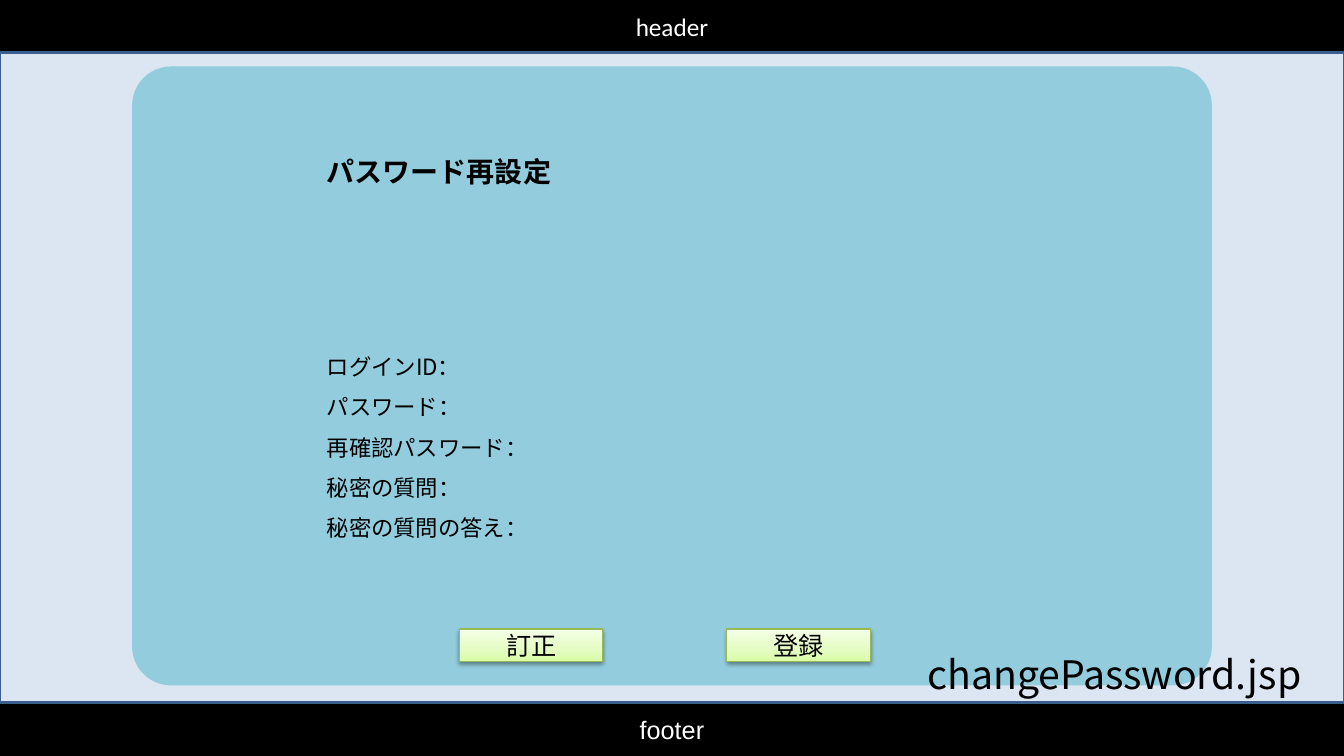
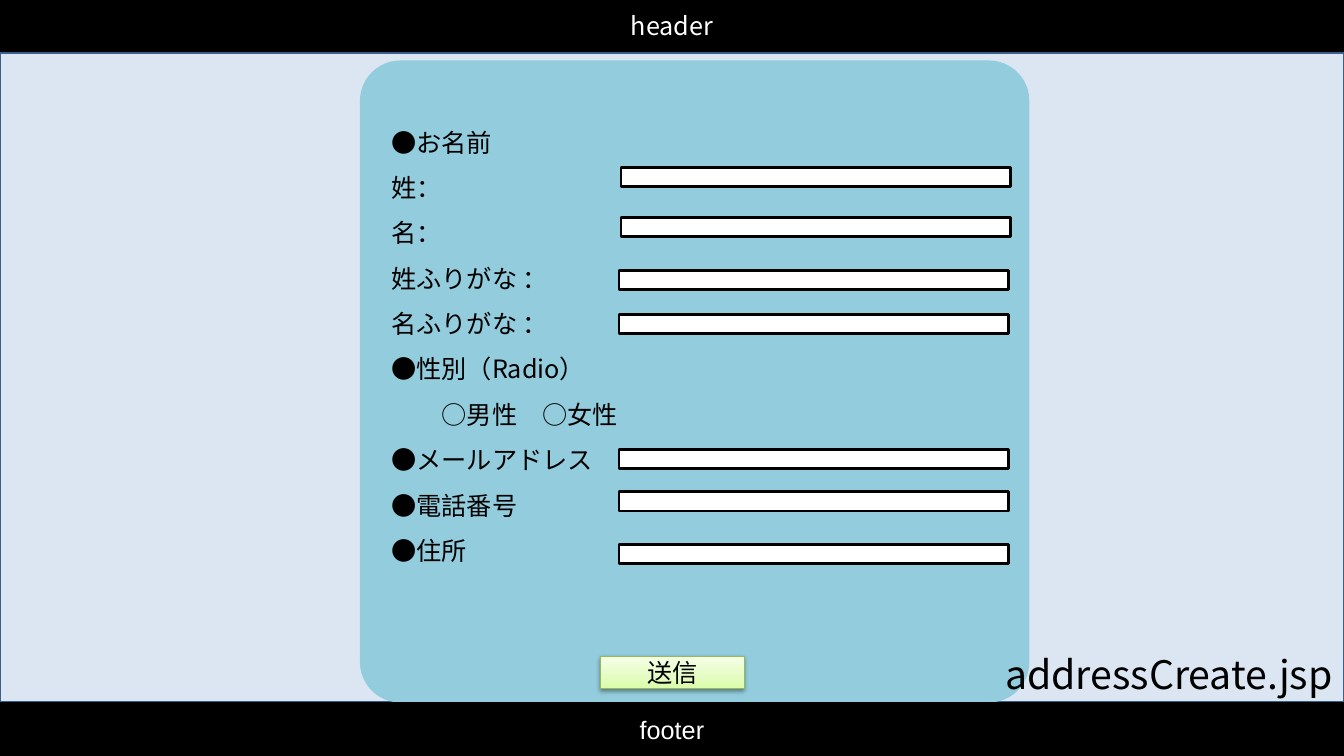
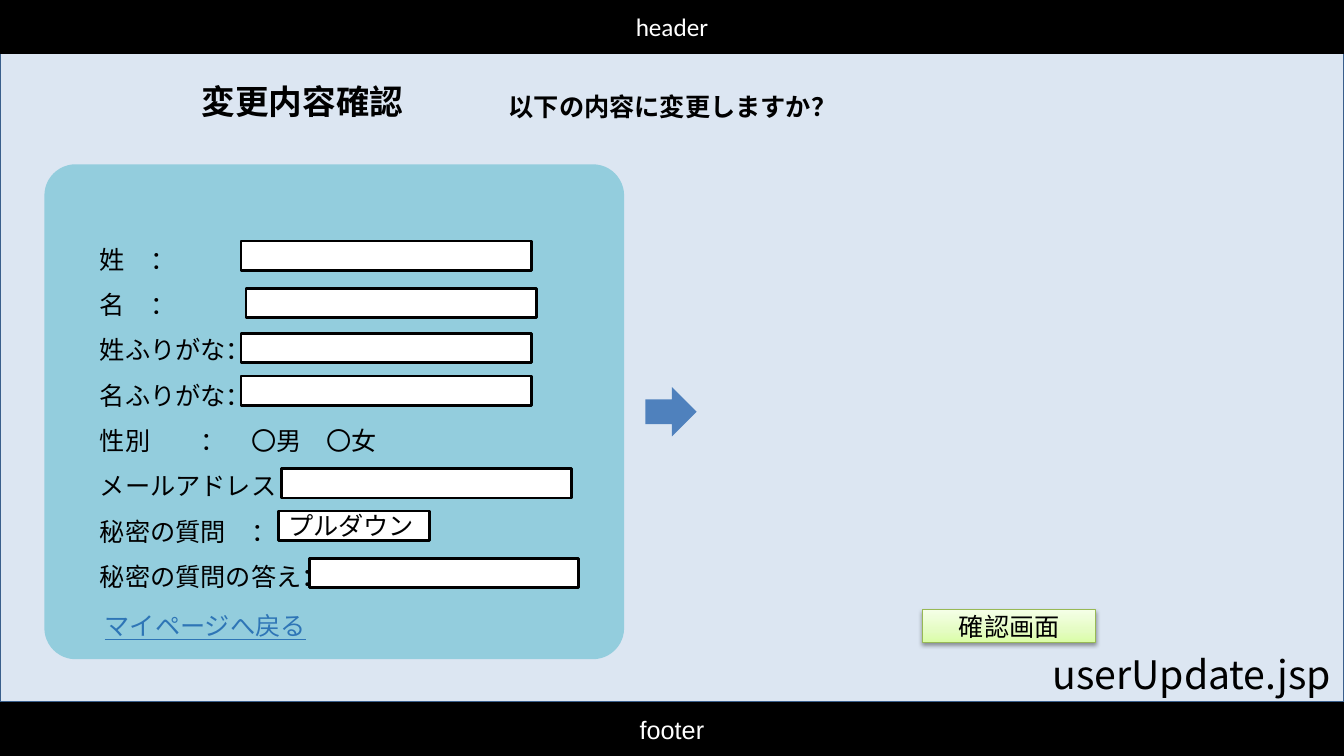
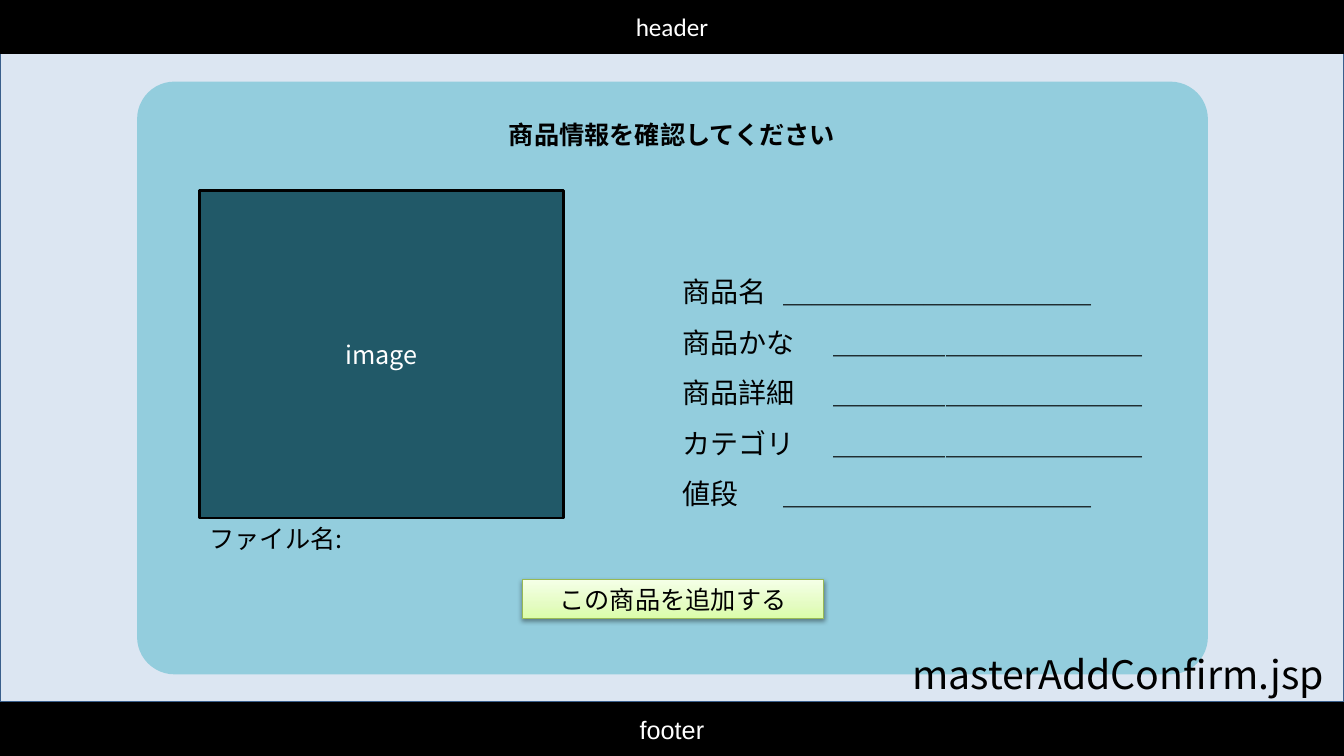
from dataclasses import dataclass

from lxml import etree
from pptx import Presentation
from pptx.dml.color import RGBColor
from pptx.enum.shapes import MSO_SHAPE
from pptx.enum.text import MSO_ANCHOR, MSO_AUTO_SIZE, PP_ALIGN
from pptx.oxml.ns import qn
from pptx.util import Pt

RECTANGLE = MSO_SHAPE.RECTANGLE
ROUNDED = MSO_SHAPE.ROUNDED_RECTANGLE
RIGHT_ARROW = MSO_SHAPE.RIGHT_ARROW
TOP, MIDDLE = MSO_ANCHOR.TOP, MSO_ANCHOR.MIDDLE
LEFT, CENTER = PP_ALIGN.LEFT, PP_ALIGN.CENTER
NO_AUTOFIT = MSO_AUTO_SIZE.NONE

EMU_PER_PX = 9144
SLIDE_WIDTH, SLIDE_HEIGHT = 1333, 750
TITLE_AND_CONTENT = 1


@dataclass(frozen=True)
class Theme:
    black: str = "000000"
    white: str = "FFFFFF"
    canvas: str = "DCE6F2"
    canvas_line: str = "3A5F8C"
    panel: str = "93CDDD"
    image: str = "215968"
    arrow: str = "4F81BD"
    link: str = "2E75B6"
    button_line: str = "98B955"
    button_stops: tuple = ((0, "DAFDA7"), (35, "E4FCC2"), (100, "F5FFE7"))
    japanese: str = "Noto Sans CJK JP"
    header: str = "Calibri"
    footer: str = "Arial"
    small: int = 16
    normal: int = 18
    large: int = 20
    heading: int = 24
    caption: int = 28
    line_spacing: float = 1.5
    corner: float = 0.063


def px(length):
    return length * EMU_PER_PX


def add_child(parent, tag, **attributes):
    return etree.SubElement(parent, qn(tag), attributes)


class ScreenDeck:
    def __init__(self, theme):
        self.theme = theme
        self.presentation = Presentation()
        self.presentation.slide_width = px(SLIDE_WIDTH)
        self.presentation.slide_height = px(SLIDE_HEIGHT)
        self.slide = None

    def start(self):
        layout = self.presentation.slide_layouts[TITLE_AND_CONTENT]
        self.slide = self.presentation.slides.add_slide(layout)

    def placeholder(self, index, left, top, width, height):
        shape = self.slide.placeholders[index]
        self.slide.shapes.element.append(shape.element)
        shape.left, shape.top = px(left), px(top)
        shape.width, shape.height = px(width), px(height)
        return shape

    def frame(self, shape, anchor=TOP):
        frame = shape.text_frame
        frame.word_wrap = True
        frame.auto_size = NO_AUTOFIT
        frame.vertical_anchor = anchor
        return frame

    def add_run(self, paragraph, text, size, color=None, font=None,
                bold=False, underline=False):
        run = paragraph.add_run()
        run.text = text
        run.font.size = Pt(size)
        run.font.bold = bold
        run.font.underline = underline
        run.font.color.rgb = RGBColor.from_string(color or self.theme.black)
        run.font.name = font or self.theme.japanese
        latin = run.font._element.find(qn("a:latin"))
        latin.addnext(latin.makeelement(
            qn("a:ea"), {"typeface": self.theme.japanese}))

    def set_text(self, shape, text, size, align=LEFT, anchor=TOP, **style):
        paragraph = self.frame(shape, anchor).paragraphs[0]
        paragraph.alignment = align
        self.add_run(paragraph, text, size, **style)

    def shape(self, kind, left, top, width, height, fill, line=None, weight=2):
        shape = self.slide.shapes.add_shape(
            kind, px(left), px(top), px(width), px(height))
        shape.shadow.inherit = False
        shape.fill.solid()
        shape.fill.fore_color.rgb = RGBColor.from_string(fill)
        if line:
            shape.line.color.rgb = RGBColor.from_string(line)
            shape.line.width = Pt(weight)
        else:
            shape.line.fill.background()
        return shape

    def canvas(self):
        self.shape(RECTANGLE, 0, 52, SLIDE_WIDTH, 645,
                   self.theme.canvas, self.theme.canvas_line)

    def band(self, text, top, height, font):
        theme = self.theme
        band = self.shape(RECTANGLE, 0, top, SLIDE_WIDTH, height,
                          theme.black, theme.black)
        self.set_text(band, text, theme.normal, CENTER, MIDDLE,
                      color=theme.white, font=font)

    def bands(self, header_height=52, header_font=None):
        self.band("header", 0, header_height, header_font or self.theme.header)
        self.band("footer", 698, 52, self.theme.footer)

    def panel(self, left, top, width, height):
        panel = self.shape(ROUNDED, left, top, width, height, self.theme.panel)
        panel.adjustments[0] = self.theme.corner

    def title(self, text, left, top, width, height, size, align=CENTER,
              spacing=1.0):
        title = self.placeholder(0, left, top, width, height)
        self.set_text(title, text, size, align, bold=True)
        title.text_frame.paragraphs[0].line_spacing = spacing

    def caption(self, text, left, is_title=False):
        box = (left, 640, SLIDE_WIDTH - left, 57)
        if is_title:
            shape = self.placeholder(0, *box)
        else:
            shape = self.slide.shapes.add_textbox(*map(px, box))
        self.set_text(shape, text, self.theme.caption)
        shape.text_frame.margin_right = 0

    def text(self, text, left, top, width, align=CENTER, **style):
        box = self.slide.shapes.add_textbox(
            px(left), px(top), px(width), px(40))
        self.set_text(box, text, self.theme.normal, align, **style)

    def labels(self, lines, left, top, width, height, size, tab=None,
               indents=None):
        frame = self.frame(self.placeholder(1, left, top, width, height))
        for number, line in enumerate(lines):
            paragraph = frame.paragraphs[0] if number == 0 else frame.add_paragraph()
            properties = paragraph._p.get_or_add_pPr()
            properties.set("marL", str(px((indents or {}).get(number, 0))))
            properties.set("indent", "0")
            add_child(properties, "a:buNone")
            if tab:
                stops = add_child(properties, "a:tabLst")
                add_child(stops, "a:tab", pos=str(px(tab)), algn="l")
            paragraph.alignment = LEFT
            paragraph.line_spacing = self.theme.line_spacing
            paragraph.space_before = Pt(0)
            self.add_run(paragraph, line, size)

    def field(self, left, top, width, height):
        return self.shape(RECTANGLE, left, top, width, height,
                          self.theme.white, self.theme.black)

    def button(self, text, left, top, width=142, height=32):
        theme = self.theme
        button = self.shape(RECTANGLE, left, top, width, height,
                            theme.white, theme.button_line, 0.75)
        button.fill.gradient()
        button.fill.gradient_angle = 90
        properties = button.element.spPr
        stops = properties.find(".//" + qn("a:gsLst"))
        for stop in list(stops):
            stops.remove(stop)
        for position, color in theme.button_stops:
            stop = add_child(stops, "a:gs", pos=str(position * 1000))
            add_child(stop, "a:srgbClr", val=color)
        shadow = add_child(properties.find(qn("a:effectLst")), "a:outerShdw",
                           blurRad="40000", dist="20000", dir="5400000",
                           rotWithShape="0")
        shadow_color = add_child(shadow, "a:srgbClr", val=theme.black)
        add_child(shadow_color, "a:alpha", val="38000")
        self.set_text(button, text, theme.normal, CENTER, MIDDLE)


def change_password(deck):
    deck.start()
    deck.bands()
    deck.canvas()
    deck.panel(131, 66, 1071, 614)
    deck.title("パスワード再設定", 314, 132, 781, 60, deck.theme.large, LEFT,
               deck.theme.line_spacing)
    deck.labels(["ログインID：", "パスワード：", "再確認パスワード：",
                 "秘密の質問：", "秘密の質問の答え："],
                314, 332, 781, 210, deck.theme.small)
    for text, left in (("訂正", 456), ("登録", 721)):
        deck.button(text, left, 624)
    deck.caption("changePassword.jsp", 910)


def address_create(deck):
    deck.start()
    deck.canvas()
    deck.panel(357, 60, 664, 637)
    deck.bands(50, deck.theme.japanese)
    deck.labels(["●お名前", "姓：", "名：", "姓ふりがな ：", "名ふりがな ：",
                 "●性別（Radio）", "○男性　○女性", "●メールアドレス",
                 "●電話番号", "●住所"],
                378, 106, 609, 460, deck.theme.normal, indents={6: 50})
    for left, tops in ((616, (166, 216)), (614, (268, 312, 446, 488, 540))):
        for top in tops:
            deck.field(left, top, 386, 19)
    deck.caption("addressCreate.jsp", 987, is_title=True)
    deck.button("送信", 596, 651)


def user_update(deck):
    theme = deck.theme
    deck.start()
    deck.canvas()
    deck.panel(44, 163, 575, 491)
    deck.bands()
    deck.caption("userUpdate.jsp", 1034)
    deck.title("変更内容確認", 44, 75, 512, 50, theme.heading)
    deck.text("以下の内容に変更しますか？", 492, 86, 350, bold=True)
    deck.labels(["姓\t：", "名\t：", "姓ふりがな：", "名ふりがな：",
                 "性別\t：　〇男　〇女", "メールアドレス：",
                 "秘密の質問　：", "秘密の質問の答え："],
                89, 222, 486, 370, theme.normal, tab=150)
    deck.shape(RIGHT_ARROW, 640, 384, 51, 49, theme.arrow)
    deck.button("確認画面", 915, 605, 172)
    deck.text("マイページへ戻る", 89, 601, 229, color=theme.link, underline=True)
    for left, top, width in ((239, 239, 288), (244, 286, 288), (239, 331, 288),
                             (239, 373, 288), (279, 465, 288), (307, 554, 267)):
        deck.field(left, top, width, 29)
    pulldown = deck.field(276, 507, 150, 29)
    deck.set_text(pulldown, "プルダウン", theme.normal, LEFT, MIDDLE,
                  font=theme.footer)


def master_add_confirm(deck):
    theme = deck.theme
    deck.start()
    deck.canvas()
    deck.panel(136, 81, 1062, 588)
    deck.bands()
    names = ["商品名", "商品かな", "商品詳細", "カテゴリ", "値段"]
    deck.labels([name + "\t" + "＿" * 11 for name in names],
                667, 251, 503, 260, theme.large, tab=139)
    image = deck.shape(RECTANGLE, 198, 189, 361, 325, theme.image, theme.black)
    deck.set_text(image, "image", theme.normal, CENTER, MIDDLE,
                  color=theme.white)
    deck.text("ファイル名:", 198, 514, 382, LEFT)
    deck.caption("masterAddConfirm.jsp", 895)
    deck.button("この商品を追加する", 518, 575, 299, 39)
    deck.title("商品情報を確認してください", 330, 113, 673, 40, theme.normal)


def main():
    deck = ScreenDeck(Theme())
    for build in (change_password, address_create, user_update,
                  master_add_confirm):
        build(deck)
    deck.presentation.save("out.pptx")


if __name__ == "__main__":
    main()
